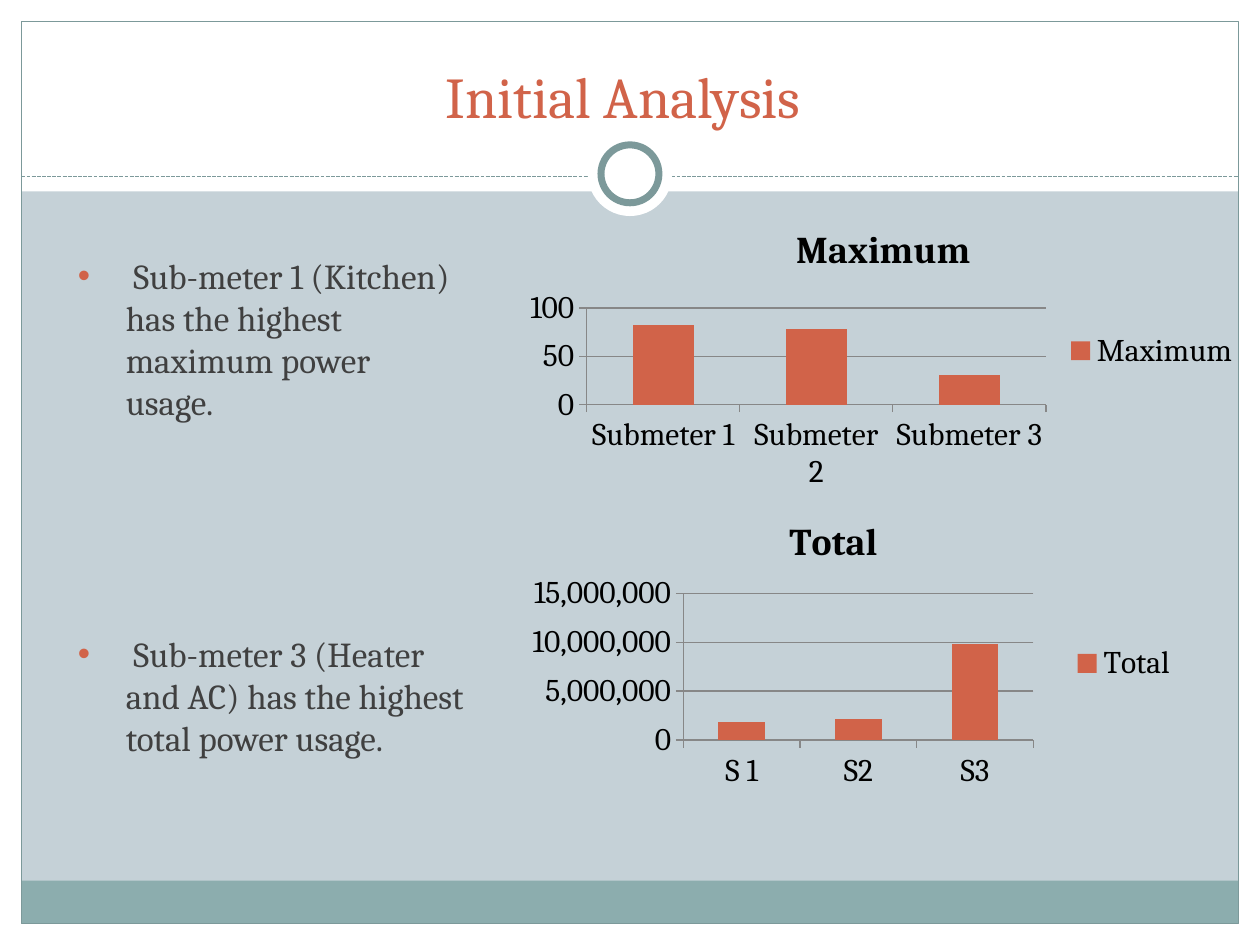
import pptx
import pptx.chart.data
import pptx.dml.color
import pptx.enum.chart
import pptx.enum.dml
import pptx.enum.shapes
import pptx.enum.text
import pptx.oxml
import pptx.oxml.ns
import pptx.util
from lxml import etree

RGBColor = pptx.dml.color.RGBColor
Inches, Pt = pptx.util.Inches, pptx.util.Pt
SHAPES = pptx.enum.shapes.MSO_SHAPE
WHITE = RGBColor(0xFF, 0xFF, 0xFF)
BLACK = RGBColor(0, 0, 0)
BACKGROUND = RGBColor(0xC5, 0xD1, 0xD7)
BAND = RGBColor(0x8C, 0xAD, 0xAE)
FRAME = RGBColor(0x7C, 0x99, 0x9A)
ACCENT = RGBColor(0xD1, 0x63, 0x49)
BODY = RGBColor(0x40, 0x40, 0x40)
GRID = RGBColor(0x87, 0x87, 0x87)
FONT = "Cambria"

WIDTH, HEIGHT, MARGIN = 10, 7.5, 0.17
HEADER, RULE, BAND_HEIGHT = 1.52, 1.4, 0.34
INNER_WIDTH, INNER_HEIGHT = WIDTH - 2 * MARGIN, HEIGHT - 2 * MARGIN
RING_CENTRE = 1.38

TITLE = "Initial Analysis "
BULLETS = [
    "Sub-meter 1 (Kitchen) has the highest maximum power usage.",
    "Sub-meter 3 (Heater and AC) has the highest total power usage.",
]
CHARTS = [
    {"name": "Maximum ", "box": (4.09, 1.63, 5.91, 2.31), "format": "General",
     "values": {"Submeter 1": 82, "Submeter 2": 78, "Submeter 3": 31},
     "plot": None},
    {"name": "Total", "box": (3.78, 3.94, 5.67, 2.65), "format": "#,##0",
     "values": {"S 1": 1800000, "S2": 2100000, "S3": 9800000},
     "plot": {"x": 0.29, "y": 0.29, "w": 0.49, "h": 0.44}},
]


def add_plain_shape(slide, kind, box, fill=None, line=None, weight=0.75):
    shape = slide.shapes.add_shape(kind, *map(Inches, box))
    shape.shadow.inherit = False
    if fill is None:
        shape.fill.background()
    else:
        shape.fill.solid()
        shape.fill.fore_color.rgb = fill
    if line is None:
        shape.line.fill.background()
    else:
        shape.line.color.rgb = line
        shape.line.width = Pt(weight)


def add_circle(slide, diameter, line=None):
    box = ((WIDTH - diameter) / 2, RING_CENTRE - diameter / 2, diameter, diameter)
    add_plain_shape(slide, SHAPES.OVAL, box, WHITE, line, 4)


def add_frame(slide):
    bottom = HEIGHT - MARGIN
    for box, color in [
        ((0, bottom, WIDTH, MARGIN), WHITE),
        ((0, 0, WIDTH, HEADER), WHITE),
        ((0, 0, MARGIN, HEIGHT), WHITE),
        ((WIDTH - MARGIN, 0, MARGIN, HEIGHT), WHITE),
        ((MARGIN, bottom - BAND_HEIGHT, INNER_WIDTH, BAND_HEIGHT), BAND),
    ]:
        add_plain_shape(slide, SHAPES.RECTANGLE, box, color)
    add_plain_shape(slide, SHAPES.RECTANGLE,
                    (MARGIN, MARGIN, INNER_WIDTH, INNER_HEIGHT), line=FRAME)
    rule = slide.shapes.add_connector(
        pptx.enum.shapes.MSO_CONNECTOR.STRAIGHT,
        *map(Inches, (MARGIN, RULE, WIDTH - MARGIN, RULE)))
    rule.line.color.rgb = FRAME
    rule.line.width = Pt(0.75)
    rule.line.dash_style = pptx.enum.dml.MSO_LINE.SQUARE_DOT
    properties = rule._element.spPr
    etree.SubElement(properties, pptx.oxml.ns.qn("a:effectLst"))
    add_circle(slide, 0.67)
    add_circle(slide, 0.46, FRAME)


def style_font(font, size, color, bold=False):
    font.name, font.size, font.bold = FONT, Pt(size), bold
    font.color.rgb = color


def add_text_frame(slide, box):
    text_frame = slide.shapes.add_textbox(*map(Inches, box)).text_frame
    text_frame.word_wrap = True
    return text_frame


def add_title(slide):
    text_frame = add_text_frame(slide, (0.33, 0.25, 9.33, 0.83))
    text_frame.vertical_anchor = pptx.enum.text.MSO_ANCHOR.BOTTOM
    text_frame.text = TITLE
    paragraph = text_frame.paragraphs[0]
    paragraph.alignment = pptx.enum.text.PP_ALIGN.CENTER
    style_font(paragraph.runs[0].font, 33, ACCENT)


def add_bullets(slide):
    text_frame = add_text_frame(slide, (0.52, 1.97, 3.26, 4.14))
    for index, text in enumerate(BULLETS):
        paragraph = text_frame.add_paragraph() if index else text_frame.paragraphs[0]
        paragraph.space_before = Pt(120 * index)
        for part, color in ((" ", ACCENT), (text, BODY)):
            run = paragraph.add_run()
            run.text = part
            style_font(run.font, 20, color)
        properties = paragraph._p.get_or_add_pPr()
        properties.set("marL", str(Inches(0.38)))
        properties.set("indent", str(-Inches(0.38)))
        for tag, attribute, value in (("buFont", "typeface", "Arial"),
                                      ("buChar", "char", "•")):
            etree.SubElement(properties, pptx.oxml.ns.qn("a:" + tag)).set(attribute, value)


def set_inner_plot(chart, plot):
    """Fix the inner plot area to shares of the chart's size."""
    area = chart._chartSpace.chart.plotArea
    for layout in area.findall(pptx.oxml.ns.qn("c:layout")):
        area.remove(layout)
    entries = [("layoutTarget", "inner"), ("xMode", "edge"), ("yMode", "edge")]
    entries += plot.items()
    children = "".join(f'<c:{tag} val="{value}"/>' for tag, value in entries)
    area.insert(0, pptx.oxml.parse_xml(
        f'<c:layout {pptx.oxml.ns.nsdecls("c")}>'
        f'<c:manualLayout>{children}</c:manualLayout></c:layout>'))


def add_column_chart(slide, content):
    data = pptx.chart.data.CategoryChartData(number_format=content["format"])
    data.categories = list(content["values"])
    data.add_series(content["name"], list(content["values"].values()))
    chart = slide.shapes.add_chart(
        pptx.enum.chart.XL_CHART_TYPE.COLUMN_CLUSTERED,
        *map(Inches, content["box"]), data).chart
    style_font(chart.font, 18, BLACK)
    chart.has_title = True
    title = chart.chart_title.text_frame
    title.text = content["name"]
    style_font(title.paragraphs[0].runs[0].font, 21.6, BLACK, True)
    chart.has_legend = True
    chart.legend.position = pptx.enum.chart.XL_LEGEND_POSITION.RIGHT
    chart.legend.include_in_layout = False
    plot = chart.plots[0]
    plot.gap_width = 150
    plot.vary_by_categories = False
    fill = plot.series[0].format.fill
    fill.solid()
    fill.fore_color.rgb = ACCENT
    chart.value_axis.has_major_gridlines = True
    for axis in (chart.category_axis, chart.value_axis):
        axis.major_tick_mark = pptx.enum.chart.XL_TICK_MARK.OUTSIDE
        axis.minor_tick_mark = pptx.enum.chart.XL_TICK_MARK.NONE
    for part in (chart.category_axis, chart.value_axis, chart.value_axis.major_gridlines):
        part.format.line.color.rgb = GRID
        part.format.line.width = Pt(0.75)
    labels = chart.value_axis.tick_labels
    labels.number_format = content["format"]
    labels.number_format_is_linked = False
    if content["plot"]:
        set_inner_plot(chart, content["plot"])


def main():
    presentation = pptx.Presentation()
    presentation.slide_width, presentation.slide_height = Inches(WIDTH), Inches(HEIGHT)
    slide = presentation.slides.add_slide(presentation.slide_layouts[6])
    slide.background.fill.solid()
    slide.background.fill.fore_color.rgb = BACKGROUND
    add_frame(slide)
    add_title(slide)
    add_column_chart(slide, CHARTS[0])
    add_bullets(slide)
    add_column_chart(slide, CHARTS[1])
    presentation.save("out.pptx")


if __name__ == "__main__":
    main()
